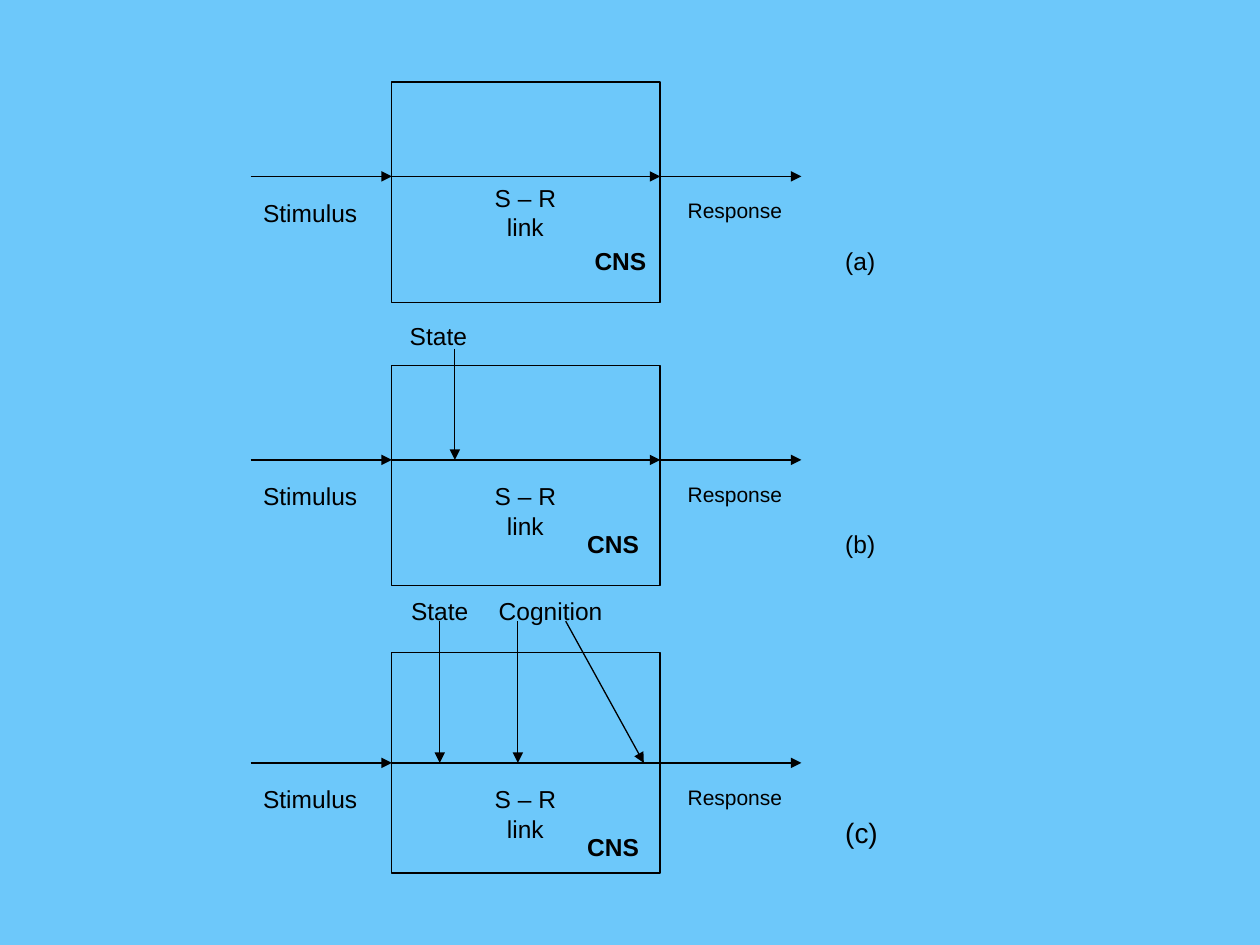
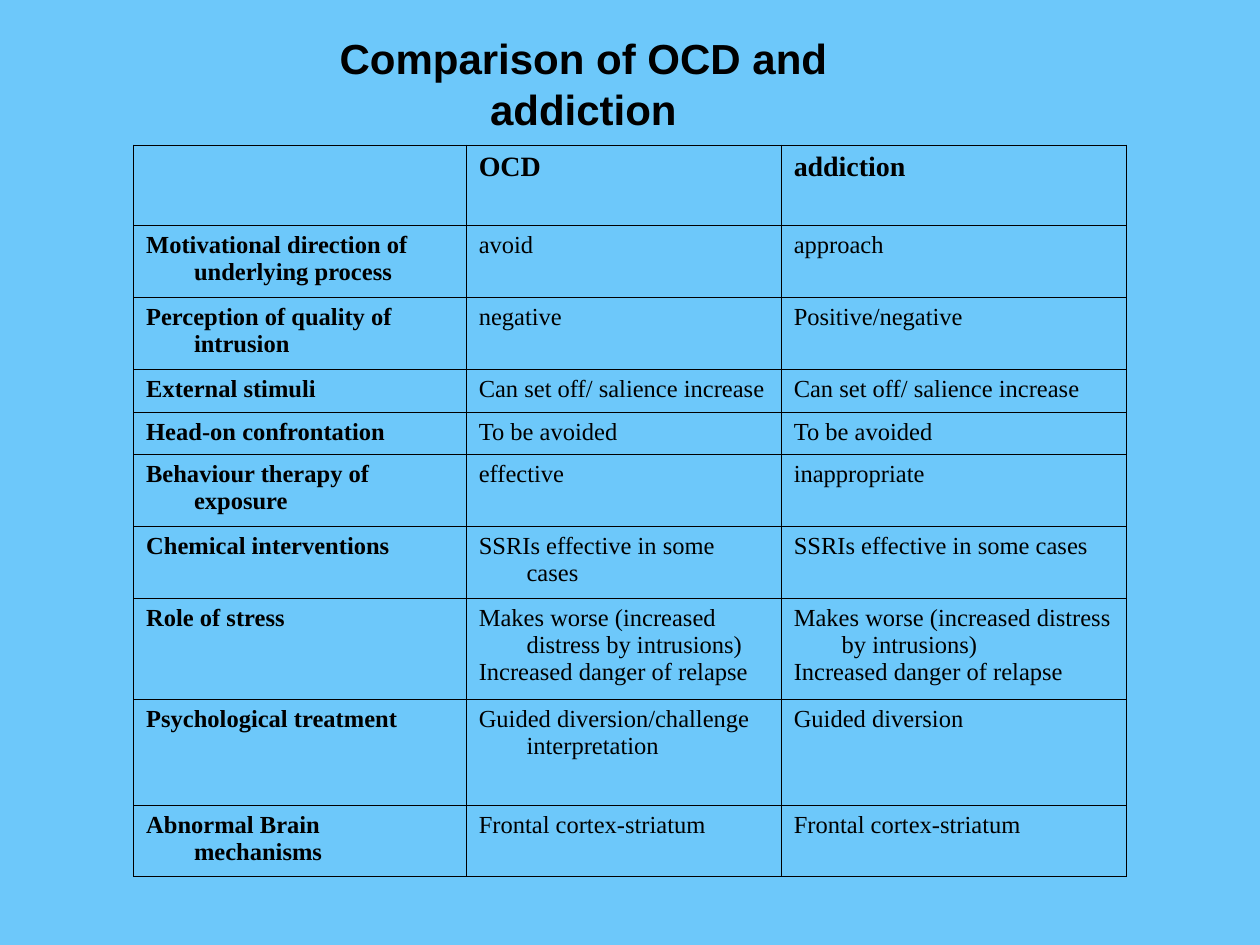
import lxml.etree
import pptx
import pptx.dml.color
import pptx.enum.shapes
import pptx.enum.text
import pptx.oxml.ns
import pptx.util

Inches, Pt = pptx.util.Inches, pptx.util.Pt
qn = pptx.oxml.ns.qn
ALIGN = pptx.enum.text.PP_ALIGN
LEFT, MID = ALIGN.LEFT, ALIGN.CENTER
COLORS = {"back": "6DC8FA", "ink": "000000"}
SANS, SERIF = "Arial", "Times New Roman"

# Slide 1: three models; each wire crosses its box at height "wire"
XS = [1.99, 3.11, 5.24, 6.36]  # start, box left, box right, end
BOX_H = 1.75
MODELS = [
    {"tag": "(a)", "size": 14, "top": 0.65, "wire": 1.4, "link": 0,
     "cns": (0.62, LEFT), "tag_y": 0.5, "heads": (1, 1, 1),
     "inputs": [], "arrows": []},
    {"tag": "(b)", "size": 14, "top": 2.9, "wire": 3.65, "link": 0.12,
     "cns": (0.75, MID), "tag_y": 0.5, "heads": (1, 1, 1),
     "inputs": [("State", 2.98, 2.5, 1, MID)],
     "arrows": [(3.61, 2.77, 3.61)]},
    {"tag": "(c)", "size": 16, "top": 5.18, "wire": 6.055, "link": 0.12,
     "cns": (0.75, MID), "tag_y": 0.37, "heads": (1, 0, 1),
     "inputs": [("State", 2.99, 4.68, 1, MID),
                ("Cognition", 3.86, 4.68, 1.13, LEFT)],
     "arrows": [(3.49, 4.93, 3.49), (4.11, 4.93, 4.11), (4.49, 4.93, 5.11)]},
]

# Slide 2: table
TITLE = "Comparison of OCD and addiction"
STRESS = "Makes worse (increased distress by intrusions)\nIncreased danger of relapse"
ROWS = [
    (0.64, "", "OCD", "addiction"),
    (0.57, "Motivational direction of underlying process", "avoid", "approach"),
    (0.57, "Perception of quality of intrusion", "negative", "Positive/negative"),
    (0.34, "External stimuli", "Can set off/ salience increase",
     "Can set off/ salience increase"),
    (0.34, "Head-on confrontation", "To be avoided", "To be avoided"),
    (0.57, "Behaviour therapy of exposure", "effective", "inappropriate"),
    (0.57, "Chemical interventions", "SSRIs effective in some cases",
     "SSRIs effective in some cases"),
    (0.8, "Role of stress", STRESS, STRESS),
    (0.84, "Psychological treatment", "Guided diversion/challenge interpretation",
     "Guided diversion"),
    (0.57, "Abnormal Brain mechanisms", "Frontal cortex-striatum",
     "Frontal cortex-striatum"),
]
COLS = [2.64, 2.5, 2.74]


def color(name):
    return pptx.dml.color.RGBColor.from_string(COLORS[name])


def write(frame, text, size=14, font=SANS, bold=False, align=LEFT, hang=0):
    frame.word_wrap = True
    frame.text = text
    for par in frame.paragraphs:
        par.alignment = align
        if hang:
            props = par._p.get_or_add_pPr()
            props.set("marL", str(Inches(hang)))
            props.set("indent", str(-Inches(hang)))
        par.font.size, par.font.name, par.font.bold = Pt(size), font, bold
        par.font.color.rgb = color("ink")


def label(shapes, text, x, y, w, h=0.37, **form):
    box = shapes.add_textbox(Inches(x), Inches(y), Inches(w), Inches(h))
    write(box.text_frame, text, **form)


def draw_line(shapes, x1, y1, x2, y2, head=True):
    line = shapes.add_connector(pptx.enum.shapes.MSO_CONNECTOR.STRAIGHT,
                                Inches(x1), Inches(y1), Inches(x2), Inches(y2))
    line.line.color.rgb = color("ink")
    line.line.width = Pt(0.75)
    props = line.element.spPr
    if head:
        lxml.etree.SubElement(props.find(qn("a:ln")), qn("a:tailEnd"), type="triangle")
    lxml.etree.SubElement(props, qn("a:effectLst"))
    return line


def draw_model(slide, model):
    shapes = slide.shapes.add_group_shape().shapes
    top, wire = model["top"], model["wire"]
    box = shapes.add_shape(pptx.enum.shapes.MSO_SHAPE.RECTANGLE, Inches(XS[1]),
                           Inches(top), Inches(XS[2] - XS[1]), Inches(BOX_H))
    box.shadow.inherit = False
    box.fill.background()
    box.line.color.rgb = color("ink")
    box.line.width = Pt(0.75)

    # Wire from stimulus to response, joined where it meets mid-side
    parts = [draw_line(shapes, x1, wire, x2, wire, head)
             for x1, x2, head in zip(XS, XS[1:], model["heads"])]
    if abs(top + BOX_H / 2 - wire) < 0.01:
        parts[0].end_connect(box, 1)
        parts[1].begin_connect(box, 1)
        parts[1].end_connect(box, 3)
        parts[2].begin_connect(box, 3)
    for x1, y1, x2 in model["arrows"]:
        draw_line(shapes, x1, y1, x2, wire)

    # Labels
    wide, align = model["cns"]
    label(shapes, "Stimulus", XS[0], wire + 0.12, 1)
    label(shapes, "S – R\nlink", 3.61, wire + model["link"], 1.12, 0.62, align=MID)
    label(shapes, "CNS", XS[2] - wide, wire + 0.5, wide, bold=True, align=align)
    label(shapes, "Response", XS[2] + 0.12, wire + 0.12, 1, size=12)
    label(shapes, model["tag"], 6.61, wire + model["tag_y"], 0.75, 0.5,
          size=model["size"])
    for text, x, y, w, side in model["inputs"]:
        label(shapes, text, x, y, w, align=side)


def frame_cell(cell):
    props = cell._tc.get_or_add_tcPr()
    for side in ("lnL", "lnR", "lnT", "lnB"):
        edge = lxml.etree.SubElement(props, qn("a:" + side), w=str(Pt(0.45)))
        fill = lxml.etree.SubElement(edge, qn("a:solidFill"))
        lxml.etree.SubElement(fill, qn("a:srgbClr"), val=COLORS["ink"])
    cell.fill.background()


def draw_table(slide):
    high = sum(row[0] for row in ROWS)
    table = slide.shapes.add_table(len(ROWS), len(COLS), Inches(1.06), Inches(1.15),
                                   Inches(sum(COLS)), Inches(high)).table
    table.first_row = table.horz_banding = False
    for col, wide in zip(table.columns, COLS):
        col.width = Inches(wide)
    for r, (tall, *texts) in enumerate(ROWS):
        table.rows[r].height = Inches(tall)
        for c, text in enumerate(texts):
            cell = table.cell(r, c)
            frame_cell(cell)
            write(cell.text_frame, text, size=14 if r else 16, font=SERIF,
                  bold=r == 0 or c == 0, hang=0.38)


def draw_title(slide, text):
    title = slide.shapes.title
    title.left, title.top = Inches(1.81), Inches(0.41)
    title.width, title.height = Inches(5.64), Inches(0.5)
    frame = title.text_frame
    write(frame, text, size=24, bold=True, align=MID)
    frame.word_wrap = False
    frame.auto_size = pptx.enum.text.MSO_AUTO_SIZE.SHAPE_TO_FIT_TEXT
    frame.vertical_anchor = pptx.enum.text.MSO_ANCHOR.MIDDLE


def main():
    deck = pptx.Presentation()
    deck.slide_width, deck.slide_height = Inches(10), Inches(7.5)
    back = deck.slide_master.background.fill
    back.solid()
    back.fore_color.rgb = color("back")

    slide = deck.slides.add_slide(deck.slide_layouts[6])
    for model in MODELS:
        draw_model(slide, model)

    slide = deck.slides.add_slide(deck.slide_layouts[5])
    draw_title(slide, TITLE)
    draw_table(slide)
    deck.save("out.pptx")


if __name__ == "__main__":
    main()
